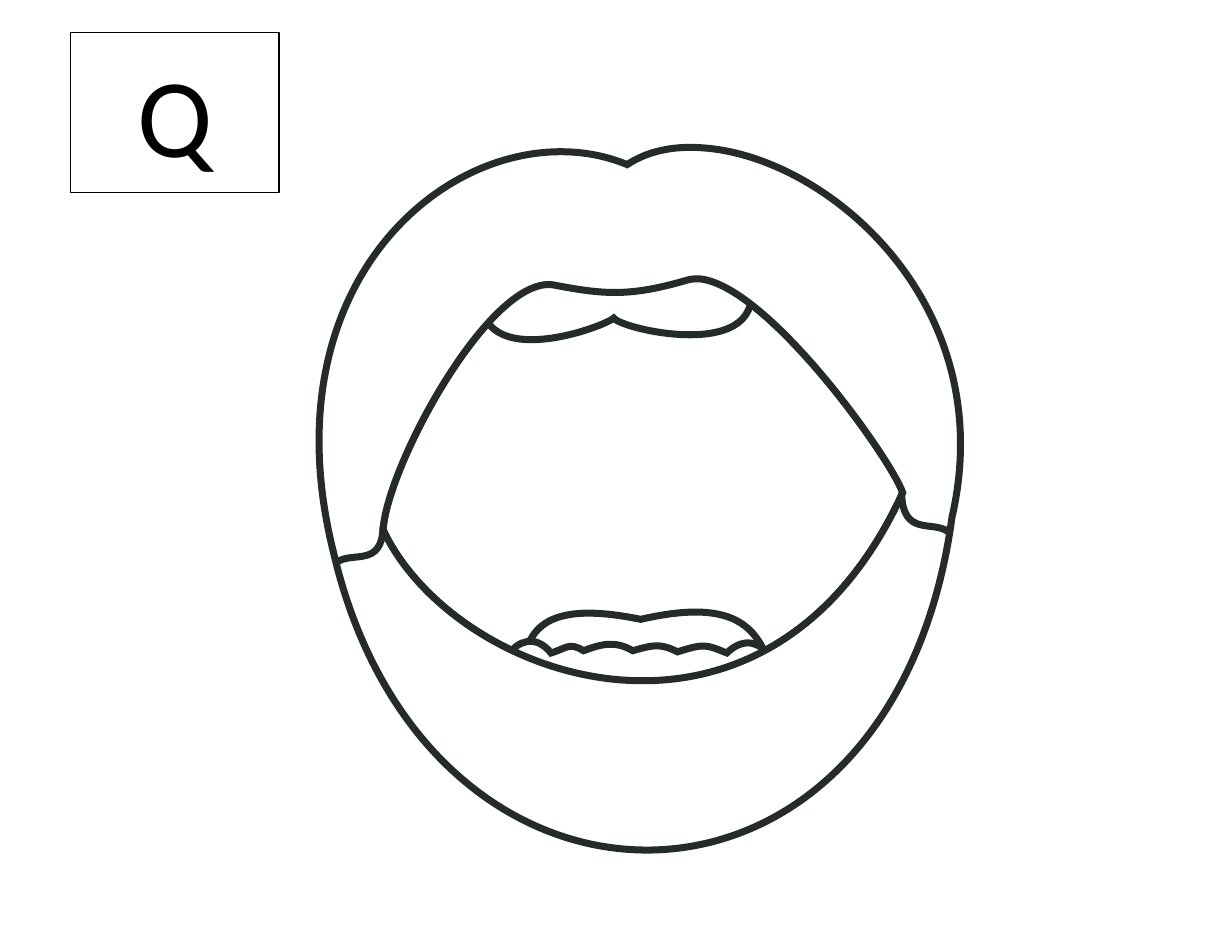
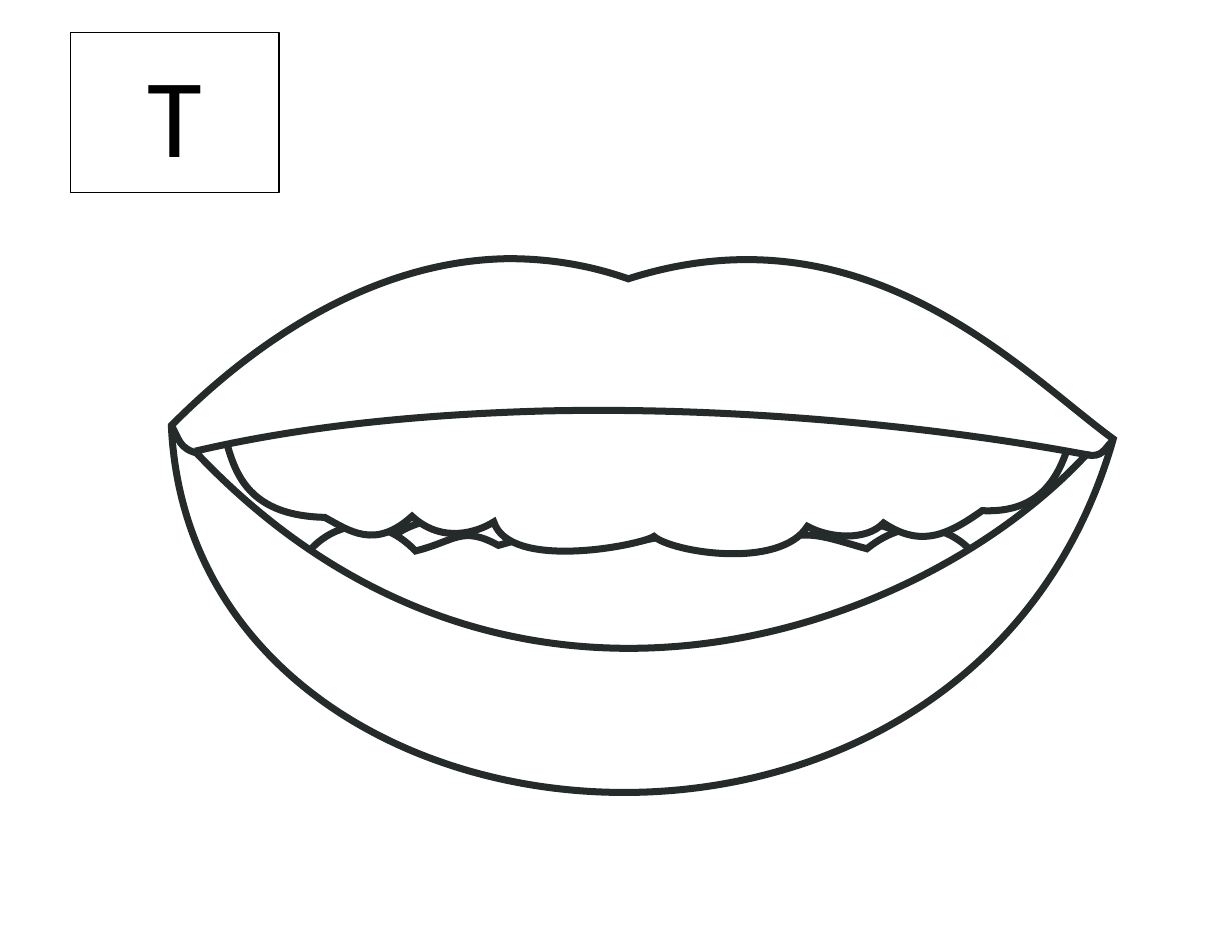
"""Build two sheets, each with a letter card and the mouth shape that speaks it."""
from lxml import etree
from pptx import Presentation
from pptx.dml.color import RGBColor
from pptx.enum.shapes import MSO_SHAPE
from pptx.enum.text import MSO_ANCHOR, PP_ALIGN
from pptx.oxml.ns import qn
from pptx.util import Inches, Pt

WHITE = RGBColor(0xFF, 0xFF, 0xFF)
BLACK = RGBColor(0, 0, 0)
INK = RGBColor(0x25, 0x2B, 0x2A)
RECTANGLE = MSO_SHAPE.RECTANGLE
MIDDLE = MSO_ANCHOR.MIDDLE
CENTER = PP_ALIGN.CENTER
FONT = "Calibri"
PAGE_WIDTH, PAGE_HEIGHT = 11, 8.5
CURVE_STEPS = 40

# A contour is a start point followed by lines (x, y) and cubic curves
# (two control points and an end point).
Q_THROAT = [(3.42, 4.73), (3.46, 4.14, 4.41, 2.4, 4.97, 2.55),
            (5.4, 2.63, 5.63, 2.65, 6.14, 2.5),
            (6.71, 2.34, 7.97, 4.1, 8.06, 4.4),
            (6.84, 7.06, 4.05, 6.08, 3.42, 4.73)]
Q_TONGUE = [(5.72, 5.53), (6.59, 5.33, 6.8, 5.61, 6.91, 6.08),
            (6.91, 6.11, 6.92, 6.13, 6.92, 6.15), (6.91, 6.15),
            (6.21, 6.4, 5.3, 6.35, 4.68, 6.18), (4.64, 6.17), (4.65, 6.04),
            (4.7, 5.71, 4.75, 5.33, 5.72, 5.53)]
Q_UPPER_TEETH = [(4.33, 2.4), (6.66, 2.4), (6.99, 3.27, 5.56, 2.95, 5.48, 2.84),
                 (5.38, 2.93, 4.05, 3.41, 4.33, 2.4)]
Q_LOWER_TEETH = [(4.71, 6.15), (4.26, 6.12, 4.64, 5.48, 4.92, 5.83),
                 (5.06, 5.79, 5.08, 5.73, 5.21, 5.81),
                 (5.35, 5.76, 5.48, 5.71, 5.65, 5.81),
                 (5.83, 5.76, 5.89, 5.74, 6.05, 5.82),
                 (6.3, 5.74, 6.31, 5.76, 6.49, 5.83),
                 (6.81, 5.52, 7.09, 6.11, 6.79, 6.16),
                 (5.92, 6.33, 5.44, 6.43, 4.71, 6.15)]
Q_LIPS = [(6.27, 1.32), (7.38, 1.39, 8.94, 2.71, 8.5, 4.62),
          (7.97, 8.52, 3.82, 8.53, 2.98, 4.94),
          (2.32, 2.32, 4.3, 0.93, 5.6, 1.47),
          (5.78, 1.35, 6.01, 1.3, 6.27, 1.32)]
Q_OPENING = [(6.25, 2.49), (6.21, 2.49, 6.17, 2.49, 6.14, 2.5),
             (5.63, 2.65, 5.4, 2.63, 4.97, 2.55),
             (4.41, 2.4, 3.46, 4.14, 3.42, 4.73),
             (4.05, 6.08, 6.84, 7.06, 8.06, 4.4),
             (7.97, 4.12, 6.87, 2.56, 6.25, 2.49)]
Q_RIGHT_CORNER = [(8.05, 4.4), (8.06, 4.8, 8.33, 4.64, 8.47, 4.75)]
Q_LEFT_CORNER = [(3.42, 4.71), (3.41, 5.07, 3.14, 4.92, 3.01, 5.02)]

T_THROAT = [(1.68, 4.02), (4.32, 3.36, 7.69, 3.63, 9.78, 4.06),
            (8.29, 5.8, 4.53, 7.28, 1.68, 4.02)]
T_TONGUE = [(3.52, 4.79), (3.94, 4.35, 7.7, 4.4, 8.13, 4.82),
            (8.53, 5.23, 6.63, 6.32, 5.86, 6.32),
            (5.09, 6.31, 3.11, 5.22, 3.52, 4.79)]
T_LOWER_TEETH = [(3.16, 5.58), (2.02, 5.53, 2.99, 4.17, 3.71, 4.92),
                 (4.07, 4.83, 4.12, 4.69, 4.45, 4.87),
                 (4.81, 4.77, 5.13, 4.65, 5.59, 4.86),
                 (6.05, 4.76, 6.2, 4.71, 6.6, 4.89),
                 (7.23, 4.71, 7.27, 4.77, 7.74, 4.9),
                 (8.55, 4.25, 9.27, 5.5, 8.51, 5.61),
                 (6.28, 5.97, 5.04, 6.19, 3.16, 5.58)]
T_UPPER_TEETH = [(4.87, 3.39), (6.59, 3.36, 7.97, 3.46, 9.38, 3.64), (9.62, 3.69),
                 (9.52, 4.05, 9.44, 4.59, 8.77, 4.56),
                 (8.46, 4.78, 8.22, 4.89, 7.89, 4.67),
                 (7.74, 4.83, 7.41, 4.81, 7.21, 4.7),
                 (6.96, 5.09, 6, 4.93, 5.84, 4.79),
                 (5.72, 4.87, 4.55, 5.1, 4.41, 4.66),
                 (4.27, 4.75, 3.95, 4.86, 3.68, 4.61),
                 (3.35, 4.91, 3.12, 4.74, 2.9, 4.62),
                 (2.07, 4.6, 2.07, 4.05, 1.96, 3.72), (2.32, 3.57),
                 (3.15, 3.47, 4.01, 3.41, 4.87, 3.39)]
T_LIPS = [(4.54, 2.31), (4.88, 2.31, 5.24, 2.36, 5.61, 2.49),
          (7.73, 1.81, 9.13, 3.33, 9.94, 3.92),
          (8.65, 8.46, 1.71, 7.82, 1.53, 3.8),
          (1.92, 3.41, 3.06, 2.33, 4.54, 2.31)]
T_OPENING = [(4.86, 3.67), (3.79, 3.7, 2.72, 3.8, 1.74, 4.03),
             (4.54, 7, 8.23, 5.65, 9.7, 4.06),
             (8.42, 3.82, 6.64, 3.63, 4.86, 3.67)]
T_LEFT_CORNER = [(1.78, 4.05), (1.59, 4.01, 1.6, 3.91, 1.53, 3.8)]
T_RIGHT_CORNER = [(9.7, 4.06), (9.84, 4.09, 9.86, 4.01, 9.93, 3.94)]

Q_MOUTH = [[Q_THROAT], [Q_TONGUE], [Q_UPPER_TEETH], [Q_LOWER_TEETH],
           [Q_LIPS, Q_OPENING], [Q_RIGHT_CORNER], [Q_LEFT_CORNER]]
T_MOUTH = [[T_THROAT], [T_TONGUE], [T_LOWER_TEETH], [T_UPPER_TEETH],
           [T_LIPS, T_OPENING], [T_LEFT_CORNER], [T_RIGHT_CORNER]]


def pairs(numbers):
    """Split a flat run of numbers into (x, y) points."""
    return list(zip(numbers[::2], numbers[1::2]))


def trace(contour):
    """Return points that lie along a contour."""
    points = [contour[0]]
    for segment in contour[1:]:
        knots = [points[-1]] + pairs(segment)
        degree = len(knots) - 1
        weights = (1, 3, 3, 1) if degree == 3 else (1, 1)
        for step in range(1, CURVE_STEPS + 1):
            t = step / CURVE_STEPS
            blend = [weight * (1 - t) ** (degree - i) * t ** i
                     for i, weight in enumerate(weights)]
            points.append(tuple(sum(b * knot[axis] for b, knot in zip(blend, knots))
                                for axis in (0, 1)))
    return points


def write(shape, text, size=72, color=BLACK, font=FONT, align=CENTER, anchor=MIDDLE):
    """Put formatted text in a shape."""
    frame = shape.text_frame
    frame.word_wrap = True
    frame.vertical_anchor = anchor
    para = frame.paragraphs[0]
    para.alignment = align
    span = para.add_run()
    span.text = text
    span.font.size = Pt(size)
    span.font.name = font
    span.font.color.rgb = color


class Sheets:
    """Hold the deck, its style and the current page."""

    def __init__(self):
        self.deck = Presentation()
        self.deck.slide_width = Inches(PAGE_WIDTH)
        self.deck.slide_height = Inches(PAGE_HEIGHT)
        self.page = None

    def add_page(self):
        """Start a page with a white backdrop."""
        self.page = self.deck.slides.add_slide(self.deck.slide_layouts[6])
        self.add_box(0, 0, PAGE_WIDTH, PAGE_HEIGHT, WHITE)

    def paint(self, shape, line, width):
        """Give a shape a white fill and a plain outline."""
        shape.shadow.inherit = False
        shape.fill.solid()
        shape.fill.fore_color.rgb = WHITE
        shape.line.color.rgb = line
        shape.line.width = Pt(width)

    def add_box(self, left, top, width, height, line):
        """Add a white rectangle."""
        box = self.page.shapes.add_shape(
            RECTANGLE, Inches(left), Inches(top), Inches(width), Inches(height))
        self.paint(box, line, 1)
        return box

    def add_letter(self, letter):
        """Add the letter card."""
        write(self.add_box(0.63, 0.29, 1.86, 1.43, BLACK), letter)

    def add_outline(self, shapes, contours):
        """Add a freeform made of true curves."""
        xs, ys = zip(*(point for contour in contours for point in trace(contour)))
        left, top = Inches(min(xs)), Inches(min(ys))
        builder = shapes.build_freeform(left, top)
        builder.add_line_segments([(Inches(max(xs)), Inches(max(ys)))], close=False)
        outline = builder.convert_to_shape()
        self.paint(outline, INK, 4.5)
        etree.SubElement(outline.line._get_or_add_ln(), qn("a:miter"), lim="800000")
        route = outline.element.find(".//" + qn("a:path"))
        for child in list(route):
            route.remove(child)

        def add_step(tag, numbers):
            step = etree.SubElement(route, qn(tag))
            for x, y in pairs(numbers):
                etree.SubElement(step, qn("a:pt"), x=str(Inches(x) - left),
                                 y=str(Inches(y) - top))

        for contour in contours:
            add_step("a:moveTo", contour[0])
            for segment in contour[1:]:
                add_step("a:lnTo" if len(segment) == 2 else "a:cubicBezTo", segment)
            if contour[-1][-2:] == contour[0]:
                add_step("a:close", ())

    def add_mouth(self, outlines):
        """Add a group of outlines from back to front."""
        group = self.page.shapes.add_group_shape()
        for contours in outlines:
            self.add_outline(group.shapes, contours)


def main():
    """Build and save the deck."""
    sheets = Sheets()
    for letter, mouth in (("Q", Q_MOUTH), ("T", T_MOUTH)):
        sheets.add_page()
        sheets.add_letter(letter)
        sheets.add_mouth(mouth)
    sheets.deck.save("out.pptx")


if __name__ == "__main__":
    main()
